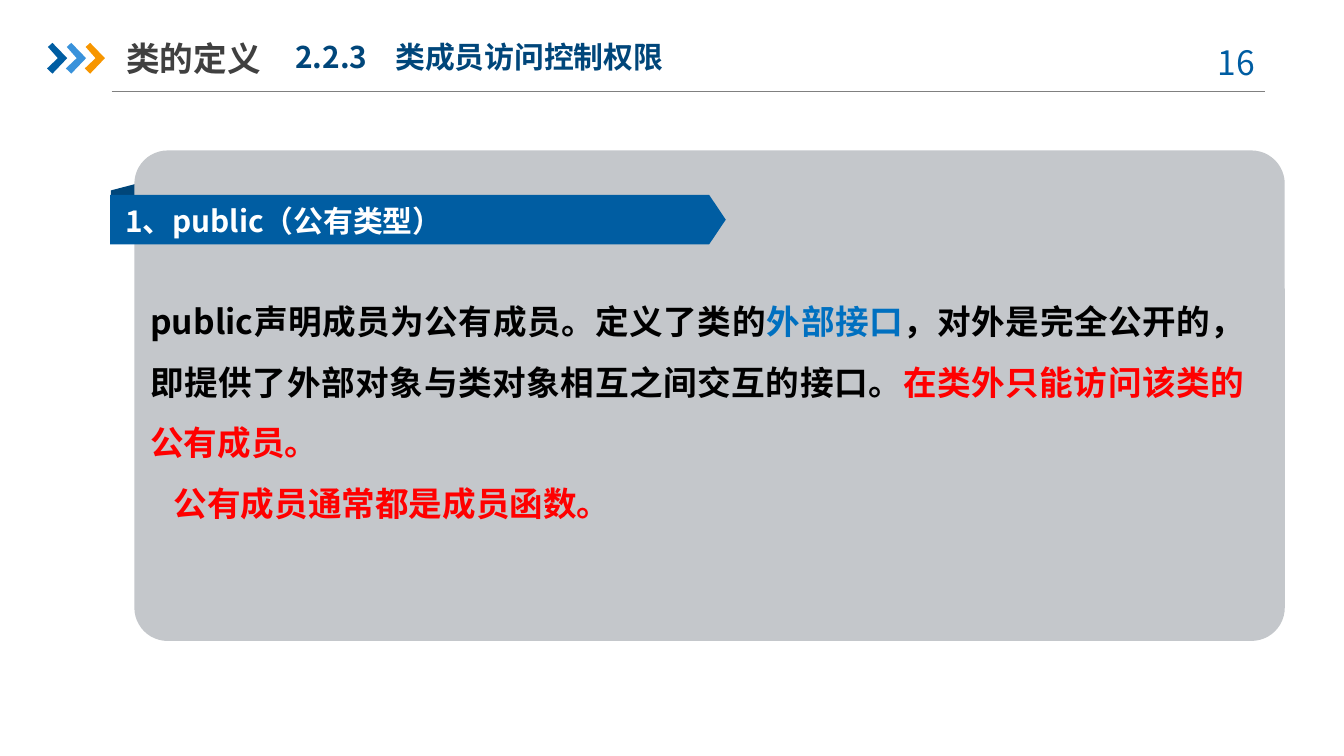
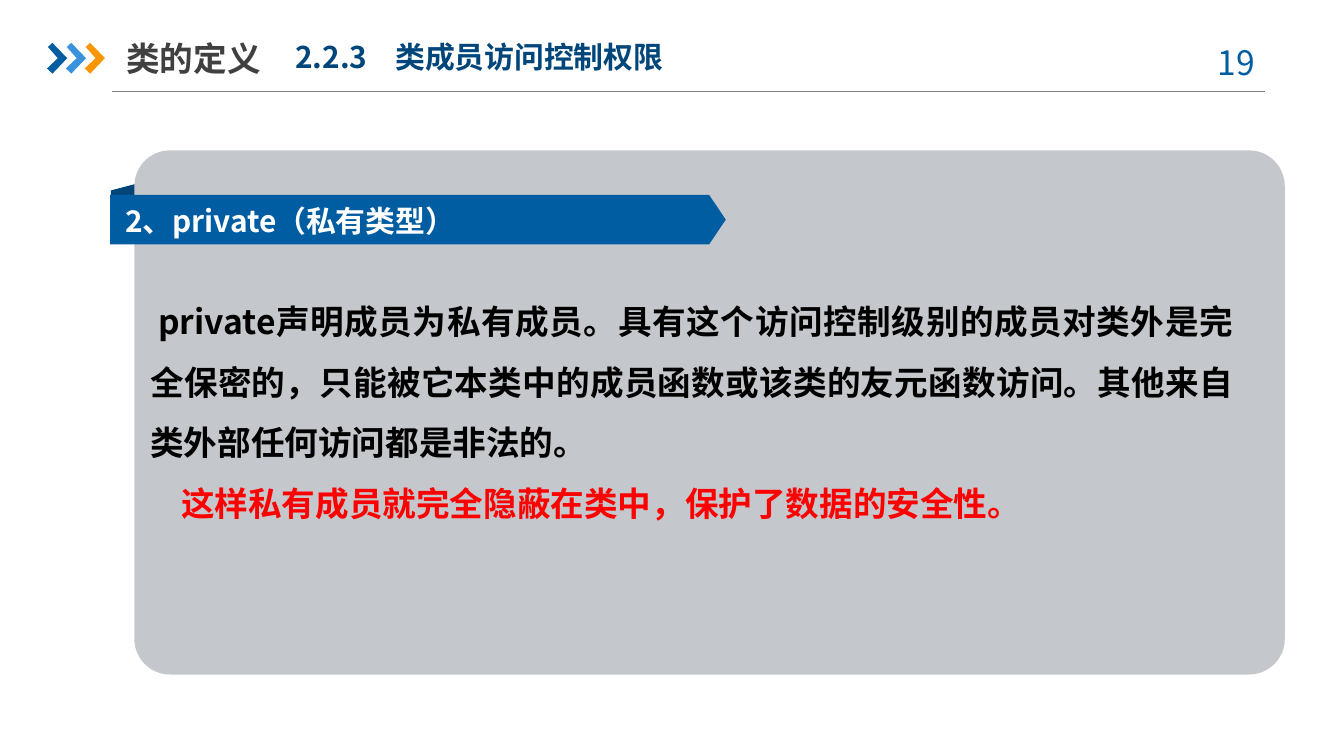
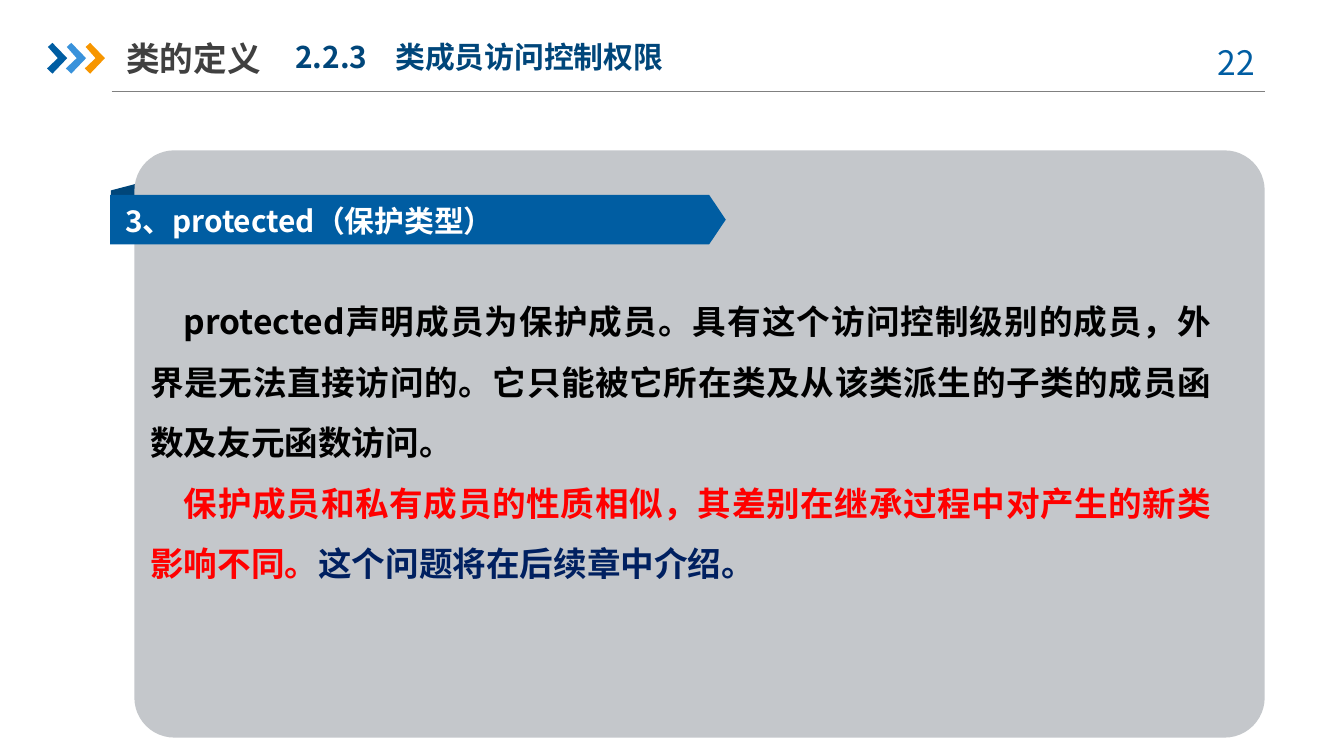
from dataclasses import dataclass

from lxml import etree
from pptx import Presentation
from pptx import util as u
from pptx.dml.color import RGBColor
from pptx.enum import shapes, text
from pptx.oxml import ns

# Shared style
FONT = "Noto Sans CJK SC"
BLUE = RGBColor(0x00, 0x5D, 0xA2)
SKY = RGBColor(0x39, 0x92, 0xDB)
ORANGE = RGBColor(0xF7, 0x96, 0x00)
NAVY = RGBColor(0x00, 0x46, 0x7A)
INK = RGBColor(0x00, 0x20, 0x60)
LINK = RGBColor(0x00, 0x70, 0xC0)
RED = RGBColor(0xFF, 0x00, 0x00)
BLACK = RGBColor(0x00, 0x00, 0x00)
WHITE = RGBColor(0xFF, 0xFF, 0xFF)
DARK = RGBColor(0x40, 0x40, 0x40)
GREY = RGBColor(0x80, 0x80, 0x80)
PANEL = RGBColor(0xC4, 0xC7, 0xCB)

CHEVRON = [(0.5, 2.2), (2.9, 0), (10.8, 8.2), (2.9, 16.5), (0, 13.7), (5.8, 8.2)]
CHEVRON_LEFT, CHEVRON_TOP, CHEVRON_STEP = 25.2, 23, 10.1


@dataclass
class Box:
    left: float
    top: float
    width: float
    height: float

    def emu(self) -> list[int]:
        return [u.Pt(v) for v in (self.left, self.top, self.width, self.height)]


@dataclass
class Run:
    words: str
    color: RGBColor = BLACK
    size: float = 18
    bold: bool = True


@dataclass
class Para:
    runs: list[Run]
    indent: float = 0
    tab: float = 0
    align: text.PP_ALIGN = text.PP_ALIGN.LEFT
    spacing: float = 1.0


@dataclass
class AccessSlide:
    page: int
    label: str
    label_height: float
    panel: Box
    body: Box
    paras: list[Para]


def body_para(indent: float, *runs: Run) -> Para:
    return Para(list(runs), indent, align=text.PP_ALIGN.JUSTIFY, spacing=1.5)


# Text and shapes
def write(tf, paras: list[Para], margins=(7.2, 3.6), **frame) -> None:
    side, edge = (u.Pt(m) for m in margins)
    values = dict(margin_left=side, margin_right=side, margin_top=edge,
                  margin_bottom=edge, word_wrap=True,
                  auto_size=text.MSO_AUTO_SIZE.SHAPE_TO_FIT_TEXT)
    for name, value in {**values, **frame}.items():
        setattr(tf, name, value)
    for i, para in enumerate(paras):
        p = tf.add_paragraph() if i else tf.paragraphs[0]
        pPr = p._p.get_or_add_pPr()
        if para.indent:
            pPr.set("marL", "0")
            pPr.set("indent", str(u.Pt(para.indent)))
        if para.tab:
            tabs = etree.SubElement(pPr, ns.qn("a:tabLst"))
            etree.SubElement(tabs, ns.qn("a:tab"), pos=str(u.Pt(para.tab)), algn="l")
        p.alignment, p.line_spacing = para.align, para.spacing
        for run in para.runs:
            r = p.add_run()
            r.text = run.words
            for name, value in dict(name=FONT, size=u.Pt(run.size), bold=run.bold).items():
                setattr(r.font, name, value)
            r.font.color.rgb = run.color
            etree.SubElement(r._r.get_or_add_rPr(), ns.qn("a:ea"), typeface=FONT)


def add_text(s, box: Box, paras: list[Para], margins=(7.2, 3.6)) -> None:
    write(s.shapes.add_textbox(*box.emu()).text_frame, paras, margins)


def paint(sp, fill: RGBColor) -> None:
    sp.shadow.inherit = False
    sp.fill.solid()
    sp.fill.fore_color.rgb = fill
    sp.line.fill.background()


def add_shape(s, kind: shapes.MSO_SHAPE, box: Box, fill: RGBColor, adj: float | None = None):
    sp = s.shapes.add_shape(kind, *box.emu())
    paint(sp, fill)
    if adj is not None:
        sp.adjustments[0] = adj
    return sp


# Parts of a slide
def add_header(s, page: int) -> None:
    rule = s.shapes.add_connector(shapes.MSO_CONNECTOR.STRAIGHT,
                                  u.Pt(59.8), u.Pt(49), u.Pt(677.5), u.Pt(49))
    rule.line.color.rgb = GREY
    rule.line.width = u.Pt(0.75)
    etree.SubElement(rule._element.spPr, ns.qn("a:effectLst"))

    chevrons = s.shapes.add_group_shape()
    for i, fill in enumerate((BLUE, SKY, ORANGE)):
        left = CHEVRON_LEFT + i * CHEVRON_STEP
        points = [(u.Pt(left + x), u.Pt(CHEVRON_TOP + y)) for x, y in CHEVRON]
        outline = chevrons.shapes.build_freeform(*points[0])
        outline.add_line_segments(points[1:], close=True)
        paint(outline.convert_to_shape(), fill)

    add_text(s, Box(637.9, 18.7, 52.6, 28.8),
             [Para([Run(f"{page} ", BLUE, bold=False)], align=text.PP_ALIGN.CENTER)])

    title = s.shapes.title
    title.left, title.top, title.width, title.height = Box(67.7, 15.8, 167.8, 30.2).emu()
    write(title.text_frame, [Para([Run("类的定义", DARK)])], (0, 3.6),
          auto_size=text.MSO_AUTO_SIZE.NONE, vertical_anchor=text.MSO_ANCHOR.MIDDLE)

    add_text(s, Box(151.2, 17.3, 232.6, 26.6),
             [Para([Run("2.2.3\t类成员访问控制权限", NAVY, 16)], tab=53.5)])


def add_panel(s, item: AccessSlide) -> None:
    fold = add_shape(s, shapes.MSO_SHAPE.FLOWCHART_DATA, Box(55.4, 99.4, 33.1, 25.2), NAVY)
    fold.rotation = 270
    fold._element.spPr.find(ns.qn("a:xfrm")).set("flipH", "1")
    add_shape(s, shapes.MSO_SHAPE.ROUNDED_RECTANGLE, item.panel, PANEL, 0.068)
    add_shape(s, shapes.MSO_SHAPE.PENTAGON, Box(59, 104.4, 329.8, 26.6), BLUE, 0.335)
    add_text(s, item.body, item.paras, (0, 0))
    add_text(s, Box(67, 108.7, 329.8, item.label_height),
             [Para([Run(item.label, WHITE, 16)])], (0, 0))


# Content
SLIDES = [
    AccessSlide(
        16, "1、public（公有类型）", 38.9,
        Box(72, 80.6, 616.3, 262.8), Box(80.6, 150.5, 586.1, 131),
        [body_para(0, Run("public声明成员为公有成员。定义了类的"),
                   Run("外部接口", LINK),
                   Run("，对外是完全公开的，即提供了外部对象与类对象相互之间交互的接口。"),
                   Run("在类外只能访问该类的公有成员。", RED)),
         body_para(12.5, Run("公有成员通常都是成员函数。", RED))]),
    AccessSlide(
        19, "2、private（私有类型）", 19.4,
        Box(72, 80.6, 616.3, 280.8), Box(80.6, 150.5, 580.3, 131),
        [body_para(4.2, Run("private声明成员为私有成员。具有这个访问控制级别的成员对类外是"
                            "完全保密的，只能被它本类中的成员函数或该类的友元函数访问。"
                            "其他来自类外部任何访问都是非法的。")),
         body_para(16.5, Run("这样私有成员就完全隐蔽在类中，保护了数据的安全性。", RED))]),
    AccessSlide(
        22, "3、protected（保护类型）", 38.9,
        Box(72, 80.6, 605.5, 314.6), Box(80.6, 150.5, 568.8, 163.4),
        [body_para(18, Run("protected声明成员为保护成员。具有这个访问控制级别的成员，"
                           "外界是无法直接访问的。它只能被它所在类及从该类派生的子类的"
                           "成员函数及友元函数访问。")),
         body_para(18, Run("保护成员和私有成员的性质相似，其差别在继承过程中对产生的"
                           "新类影响不同。", RED),
                   Run("这个问题将在后续章中介绍。", INK))]),
]


def main() -> None:
    prs = Presentation()
    prs.slide_width, prs.slide_height = u.Pt(720), u.Pt(405)
    for item in SLIDES:
        s = prs.slides.add_slide(prs.slide_layouts[5])
        add_header(s, item.page)
        add_panel(s, item)
    prs.save("out.pptx")


if __name__ == "__main__":
    main()
